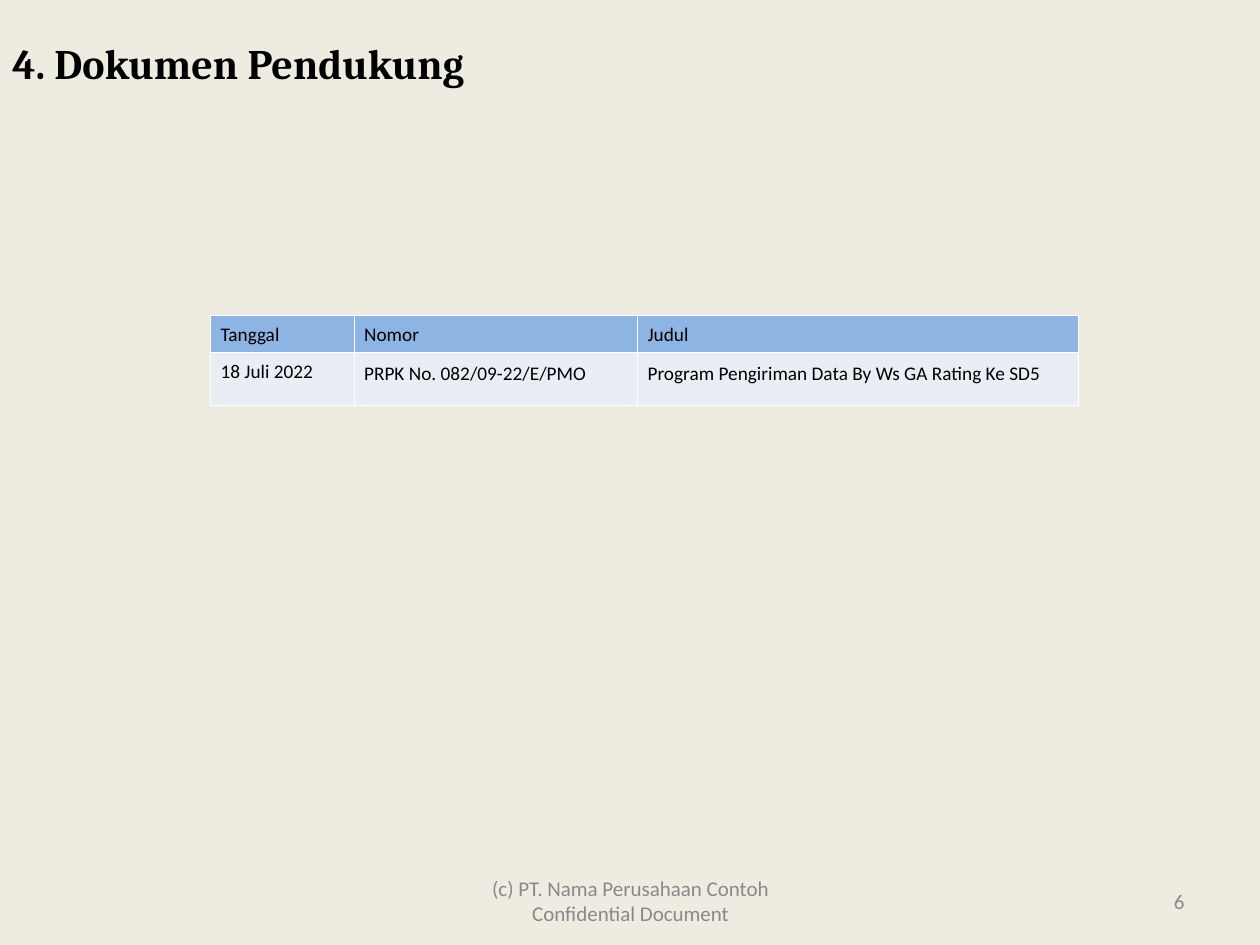
from dataclasses import dataclass

from lxml.etree import SubElement
from pptx import Presentation
from pptx.dml.color import RGBColor
from pptx.enum.text import MSO_ANCHOR, PP_ALIGN
from pptx.oxml.ns import qn
from pptx.util import Inches, Pt


@dataclass(frozen=True)
class Theme:
    background: str = "EEECE1"
    ink: str = "000000"
    muted: str = "898989"
    header_fill: str = "8EB4E3"
    body_fill: str = "E9EDF4"
    border: str = "FFFFFF"
    border_width: float = 0.45
    heading_font: str = "Cambria"
    body_font: str = "Calibri"
    title_size: int = 24
    footer_size: int = 12
    table_size: int = 11


@dataclass(frozen=True)
class Label:
    text: str
    left: float
    top: float
    width: float
    height: float
    font: str
    size: int
    color: str
    bold: bool = False
    align: PP_ALIGN = PP_ALIGN.LEFT
    anchor: MSO_ANCHOR = MSO_ANCHOR.TOP


@dataclass(frozen=True)
class TableRow:
    texts: tuple[str, ...]
    spacings: tuple[float, ...]
    height: float
    fill: str


THEME = Theme()
FOOTER = dict(top=6.95, height=0.4, font=THEME.body_font, size=THEME.footer_size,
              color=THEME.muted, anchor=MSO_ANCHOR.MIDDLE)
LABELS = (
    Label("(c) PT. Nama Perusahaan Contoh Confidential Document", left=3.42, width=3.17,
          align=PP_ALIGN.CENTER, **FOOTER),
    Label("6", left=7.17, width=2.33, align=PP_ALIGN.RIGHT, **FOOTER),
    Label("4. Dokumen Pendukung", 0, 0.25, 10, 0.5, THEME.heading_font,
          THEME.title_size, THEME.ink, bold=True),
)
COLUMN_WIDTHS = (1.14, 2.25, 3.5)
ROWS = (
    TableRow(("Tanggal", "Nomor", "Judul"), (1.07, 1.07, 1.07), 0.2, THEME.header_fill),
    TableRow(("18 Juli 2022", "PRPK No. 082/09-22/E/PMO",
              "Program Pengiriman Data By Ws GA Rating Ke SD5"),
             (1.07, 1.15, 1.15), 0.42, THEME.body_fill),
)


def add_span(para, text: str, font: str, size: int, color: str, bold: bool = False) -> None:
    span = para.add_run()
    span.text = text
    span.font.name = font
    span.font.size = Pt(size)
    span.font.bold = bold
    span.font.color.rgb = RGBColor.from_string(color)


def add_label(page, label: Label) -> None:
    box = page.shapes.add_textbox(Inches(label.left), Inches(label.top),
                                  Inches(label.width), Inches(label.height))
    frame = box.text_frame
    frame.word_wrap = True
    frame.vertical_anchor = label.anchor
    para = frame.paragraphs[0]
    para.alignment = label.align
    add_span(para, label.text, label.font, label.size, label.color, label.bold)


def set_borders(cell) -> None:
    properties = cell._tc.get_or_add_tcPr()
    for position, side in enumerate(("lnL", "lnR", "lnT", "lnB")):
        line = SubElement(properties, qn(f"a:{side}"), w=str(int(Pt(THEME.border_width))))
        fill = SubElement(line, qn("a:solidFill"))
        SubElement(fill, qn("a:srgbClr"), val=THEME.border)
        properties.insert(position, line)  # borders come before the cell fill


def add_document_table(page, left: float, top: float) -> None:
    table = page.shapes.add_table(
        len(ROWS), len(COLUMN_WIDTHS), Inches(left), Inches(top),
        Inches(sum(COLUMN_WIDTHS)), Inches(sum(row.height for row in ROWS))).table
    for column, width in zip(table.columns, COLUMN_WIDTHS):
        column.width = Inches(width)
    for table_row, row in zip(table.rows, ROWS):
        table_row.height = Inches(row.height)
        for cell, text, spacing in zip(table_row.cells, row.texts, row.spacings):
            cell.margin_left = cell.margin_right = Inches(0.08)
            cell.margin_top = cell.margin_bottom = Inches(0.05)
            cell.fill.solid()
            cell.fill.fore_color.rgb = RGBColor.from_string(row.fill)
            set_borders(cell)
            para = cell.text_frame.paragraphs[0]
            para.line_spacing = spacing
            add_span(para, text, THEME.body_font, THEME.table_size, THEME.ink)


def main() -> None:
    deck = Presentation()
    deck.slide_width, deck.slide_height = Inches(10), Inches(7.5)
    page = deck.slides.add_slide(deck.slide_layouts[6])
    page.background.fill.solid()
    page.background.fill.fore_color.rgb = RGBColor.from_string(THEME.background)

    # Footer, page number and title
    for label in LABELS:
        add_label(page, label)

    # Supporting documents
    add_document_table(page, 1.67, 2.5)

    deck.save("out.pptx")


if __name__ == "__main__":
    main()
